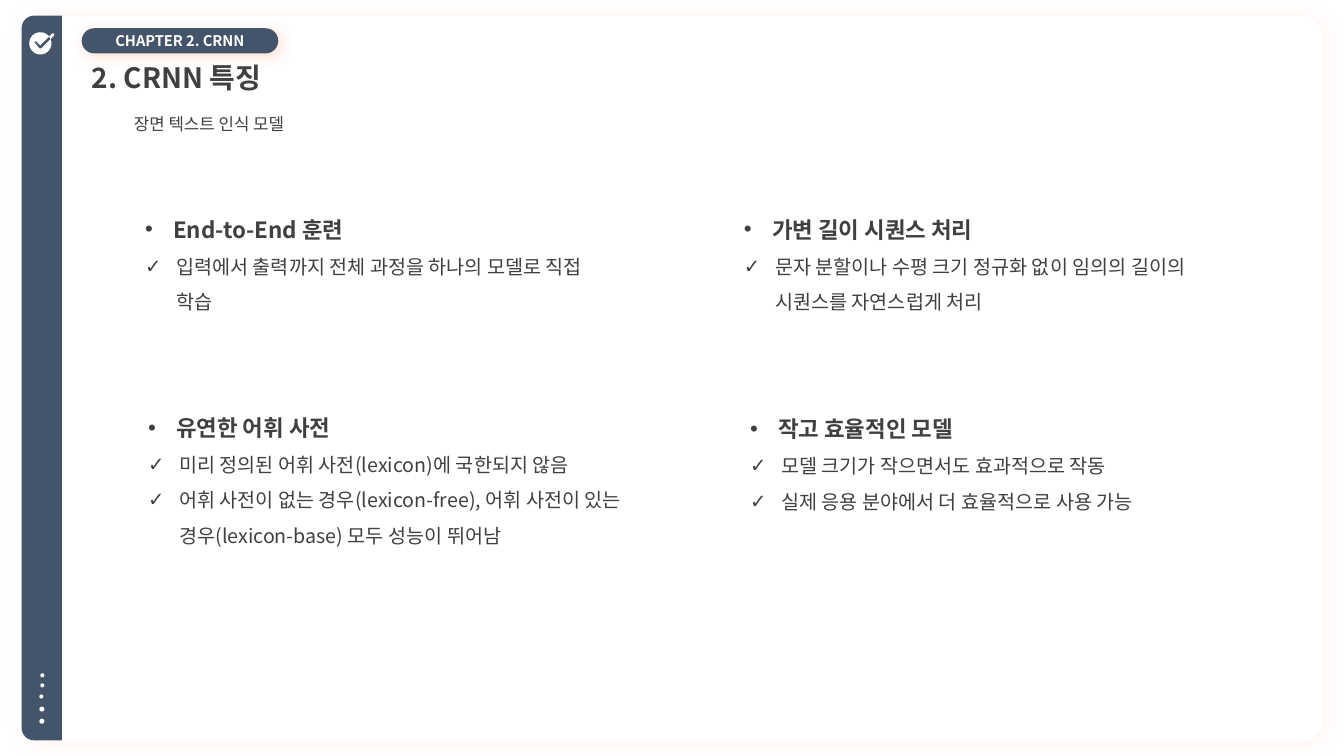
from math import cos, radians, sin

from lxml import etree
from pptx import Presentation
from pptx.dml.color import RGBColor
from pptx.enum.shapes import MSO_SHAPE
from pptx.enum.text import MSO_ANCHOR, MSO_AUTO_SIZE, PP_ALIGN
from pptx.oxml import parse_xml
from pptx.oxml.ns import nsdecls, qn
from pptx.util import Pt

PX = 9144  # EMU per px, 100 px to the inch
FONT = "Noto Sans CJK KR"
COLORS = {"white": "FFFFFF", "navy": "44546A", "text": "404040", "glow": "FF8961"}


def add_plain_shape(kind, left, top, width, height, color, glow=0):
    """Add a filled shape without outline; glow is the shadow's opacity in percent."""
    shape = page.shapes.add_shape(kind, left * PX, top * PX, width * PX, height * PX)
    shape.shadow.inherit = False
    shape.fill.solid()
    shape.fill.fore_color.rgb = RGBColor.from_string(COLORS[color])
    shape.line.fill.background()
    if glow:
        effects = shape._element.spPr.find(qn("a:effectLst"))
        effects.append(parse_xml(
            f'<a:outerShdw {nsdecls("a")} blurRad="{Pt(glow_blur[glow])}" dist="{Pt(3)}" '
            f'dir="2700000" algn="tl" rotWithShape="0"><a:srgbClr val="{COLORS["glow"]}">'
            f'<a:alpha val="{glow * 1000}"/></a:srgbClr></a:outerShdw>'))
    return shape


def write(box, lines, color="text", anchor=MSO_ANCHOR.TOP, align=PP_ALIGN.LEFT):
    """Fill a box with (text, size, bold) lines and return its paragraphs."""
    frame = box.text_frame
    frame.word_wrap = True
    frame.vertical_anchor = anchor
    frame.text = "\n".join(text for text, size, bold in lines)
    for para, (text, size, bold) in zip(frame.paragraphs, lines):
        para.alignment = align
        span = para.runs[0]
        span.font.name = FONT
        span.font.size = Pt(size)
        span.font.bold = bold
        span.font.color.rgb = RGBColor.from_string(COLORS[color])
        etree.SubElement(span._r.get_or_add_rPr(), qn("a:ea"), typeface=FONT)
    return frame.paragraphs


glow_blur = {10: 15, 25: 10}  # shadow opacity in percent: blur in points

deck = Presentation()
deck.slide_width = 1333 * PX
deck.slide_height = 750 * PX
page = deck.slides.add_slide(deck.slide_layouts[5])

# Card and side bar
card = add_plain_shape(MSO_SHAPE.ROUNDED_RECTANGLE, 22, 16, 1289, 719, "white", glow=10)
card.adjustments[0] = 0.026
side_bar = add_plain_shape(MSO_SHAPE.ROUND_2_SAME_RECTANGLE, -318, 355, 719, 40, "navy")
side_bar.adjustments[0] = 0.31
side_bar.rotation = 270

# Check mark cut out of a disc, with its tip outside
disc_edge = [(40 + 11 * cos(radians(angle)), 43 + 11 * sin(radians(angle)))
             for angle in range(-15, 320, 5)]
check_cut = [(49, 36), (40, 45), (36, 41), (35, 41), (34, 42), (35, 43),
             (39, 48), (40, 48), (41, 48), (50, 39)]
check_tip = [(52, 33), (53, 33), (54, 35), (50, 39), (49, 37), (49, 36)]
contours = [[(round(x * PX), round(y * PX)) for x, y in points]
            for points in (disc_edge + check_cut, check_tip)]
builder = page.shapes.build_freeform(*contours[0][0])
builder.add_line_segments(contours[0][1:])
builder.move_to(*contours[1][0])
builder.add_line_segments(contours[1][1:])
check_icon = builder.convert_to_shape()
check_icon.shadow.inherit = False
check_icon.fill.solid()
check_icon.fill.fore_color.rgb = RGBColor.from_string(COLORS["white"])
check_icon.line.fill.background()

# Title, brought in front of the card
title = page.shapes.title
page.shapes._spTree.append(title._element)
title.left, title.top, title.width, title.height = 81 * PX, 55 * PX, 345 * PX, 44 * PX
write(title, [("2. CRNN 특징", 20, True)])
title.text_frame.auto_size = MSO_AUTO_SIZE.SHAPE_TO_FIT_TEXT

# Dots at the foot of the side bar
for left, top, size in [(40, 668, 4), (40, 678, 4), (39, 689, 4), (39, 701, 5), (39, 713, 5)]:
    add_plain_shape(MSO_SHAPE.OVAL, left, top, size, size, "white")

chapter = add_plain_shape(MSO_SHAPE.ROUNDED_RECTANGLE, 81, 28, 195, 25, "navy", glow=25)
chapter.adjustments[0] = 0.5
write(chapter, [("CHAPTER 2. CRNN", 10.5, True)], "white", MSO_ANCHOR.MIDDLE, PP_ALIGN.CENTER)

# Four features, each a heading with checked points
features = [
    (134, 196, 467, 121, "End-to-End 훈련",
     ["입력에서 출력까지 전체 과정을 하나의 모델로 직접 학습"]),
    (728, 196, 502, 117, "가변 길이 시퀀스 처리",
     ["문자 분할이나 수평 크기 정규화 없이 임의의 길이의 시퀀스를 자연스럽게 처리"]),
    (137, 393, 503, 156, "유연한 어휘 사전",
     ["미리 정의된 어휘 사전(lexicon)에 국한되지 않음",
      "어휘 사전이 없는 경우(lexicon-free), 어휘 사전이 있는 경우(lexicon-base) 모두 성능이 뛰어남"]),
    (734, 394, 435, 152, "작고 효율적인 모델",
     ["모델 크기가 작으면서도 효과적으로 작동", "실제 응용 분야에서 더 효율적으로 사용 가능"]),
]
for left, top, width, height, heading, points in features:
    box = page.shapes.add_textbox(left * PX, top * PX, width * PX, height * PX)
    lines = [(heading, 16, True)] + [(point, 14, False) for point in points]
    for number, para in enumerate(write(box, lines)):
        para.line_spacing = 1.5
        bullet, font, indent = ("✓", "Wingdings", 31) if number else ("•", "Arial", 28)
        properties = para._p.get_or_add_pPr()
        properties.set("marL", str(indent * PX))
        properties.set("indent", str(-indent * PX))
        if bullet == "•":
            etree.SubElement(properties, qn("a:buFont"), typeface=font)
        etree.SubElement(properties, qn("a:buChar"), char=bullet)
    box.text_frame.auto_size = MSO_AUTO_SIZE.SHAPE_TO_FIT_TEXT

subtitle = page.shapes.add_textbox(123 * PX, 108 * PX, 344 * PX, 40 * PX)
write(subtitle, [("장면 텍스트 인식 모델", 12, False)])
subtitle.text_frame.auto_size = MSO_AUTO_SIZE.SHAPE_TO_FIT_TEXT

deck.save("out.pptx")
